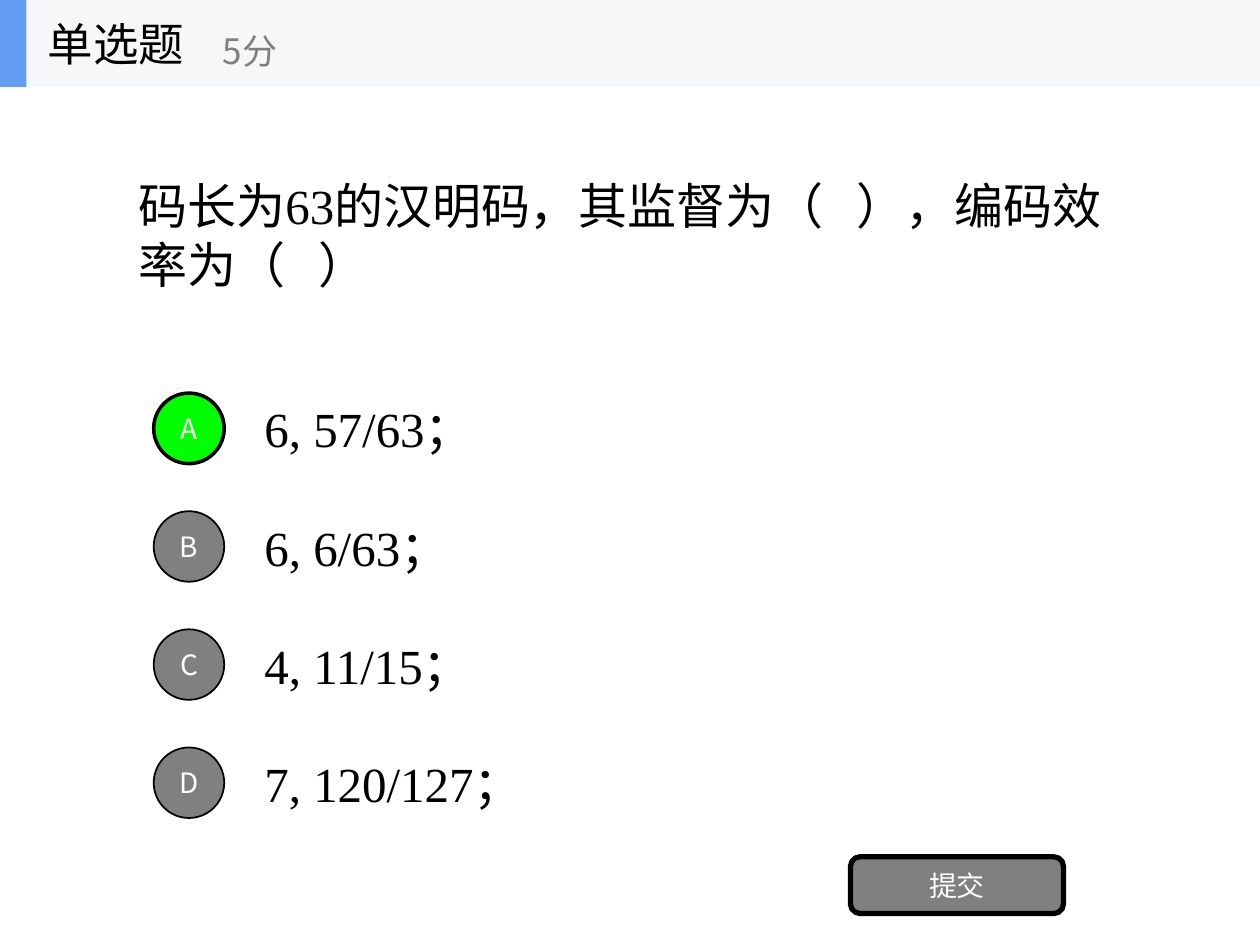
"""Build a single-choice quiz slide about Hamming codes."""
from pptx import Presentation
from pptx.dml.color import RGBColor
from pptx.enum.shapes import MSO_SHAPE as Shape
from pptx.enum.text import MSO_ANCHOR as Anchor, MSO_AUTO_SIZE as AutoSize, PP_ALIGN as Align
from pptx.oxml.ns import qn
from pptx.util import Inches, Pt

COLORS = {
    "ink": "000000",
    "paper": "FFFFFF",
    "bar": "F6F7F8",
    "accent": "639EF4",
    "muted": "808080",
    "correct": "00FF00",
}
SANS, SERIF = "Noto Sans CJK SC", "Times New Roman"


def write(holder, text, size, color, font=SANS, align=Align.LEFT, wrap=True):
    frame = holder.text_frame
    frame.auto_size = AutoSize.NONE
    frame.word_wrap = wrap
    frame.vertical_anchor = Anchor.MIDDLE
    paragraph = frame.paragraphs[0]
    paragraph.alignment = align
    run = paragraph.add_run()
    run.text = text
    run.font.size = Pt(size)
    run.font.name = font
    run.font.color.rgb = RGBColor.from_string(COLORS[color])
    east_asian = run.font._element.makeelement(qn("a:ea"), {"typeface": SANS})
    run.font._element.find(qn("a:latin")).addnext(east_asian)


def draw(kind, box, fill, line=0):
    shape = slide.shapes.add_shape(kind, *map(Inches, box))
    shape.shadow.inherit = False
    shape.fill.solid()
    shape.fill.fore_color.rgb = RGBColor.from_string(COLORS[fill])
    if line:
        shape.line.width = Pt(line)
        shape.line.color.rgb = RGBColor.from_string(COLORS["ink"])
    else:
        shape.line.fill.background()
    return shape


WIDTH, HEIGHT = 10, 7.5
deck = Presentation()
deck.slide_width, deck.slide_height = Inches(WIDTH), Inches(HEIGHT)
slide = deck.slides.add_slide(deck.slide_layouts[5])

question = slide.shapes.title
question.left, question.top = Inches(0.1 * WIDTH), Inches(0.69)
question.width, question.height = Inches(0.8 * WIDTH), Inches(2.34)
write(question, "码长为63的汉明码，其监督为（   ），编码效率为（   ）", 28, "ink", SERIF)

FIRST_CENTER, PITCH = 3.4, HEIGHT / 8
BADGE, ANSWER_HEIGHT = 0.56, 0.7
answers = ["6, 57/63；", "6, 6/63；", "4, 11/15；", "7, 120/127；"]
CORRECT = "A"
for row, (letter, answer) in enumerate(zip("ABCD", answers)):
    center = FIRST_CENTER + row * PITCH
    choice = slide.shapes.add_textbox(
        Inches(0.2 * WIDTH), Inches(center - ANSWER_HEIGHT / 2),
        Inches(0.7 * WIDTH), Inches(ANSWER_HEIGHT))
    write(choice, answer, 28, "ink", SERIF)
    fill, line = ("correct", 2) if letter == CORRECT else ("muted", 1)
    badge = draw(Shape.OVAL, (1.22, center - BADGE / 2, BADGE, BADGE), fill, line)
    write(badge, letter, 16, "paper", align=Align.CENTER)

submit = draw(Shape.ROUNDED_RECTANGLE, (6.75, 6.8, 1.69, 0.45), "muted", 3)
write(submit, "提交", 16, "paper", align=Align.CENTER)

BAR_HEIGHT = 0.69
draw(Shape.RECTANGLE, (0, 0, WIDTH, BAR_HEIGHT), "bar")
draw(Shape.RECTANGLE, (0, 0, 0.21, BAR_HEIGHT), "accent")
header = [
    ("单选题", 26, "ink", (0.28, 0, 2.08, BAR_HEIGHT)),
    ("5分", 20, "muted", (1.67, 0.12, 2.5, 0.56)),
]
for text, size, color, box in header:
    label = slide.shapes.add_textbox(*map(Inches, box))
    write(label, text, size, color, wrap=False)

deck.save("out.pptx")
